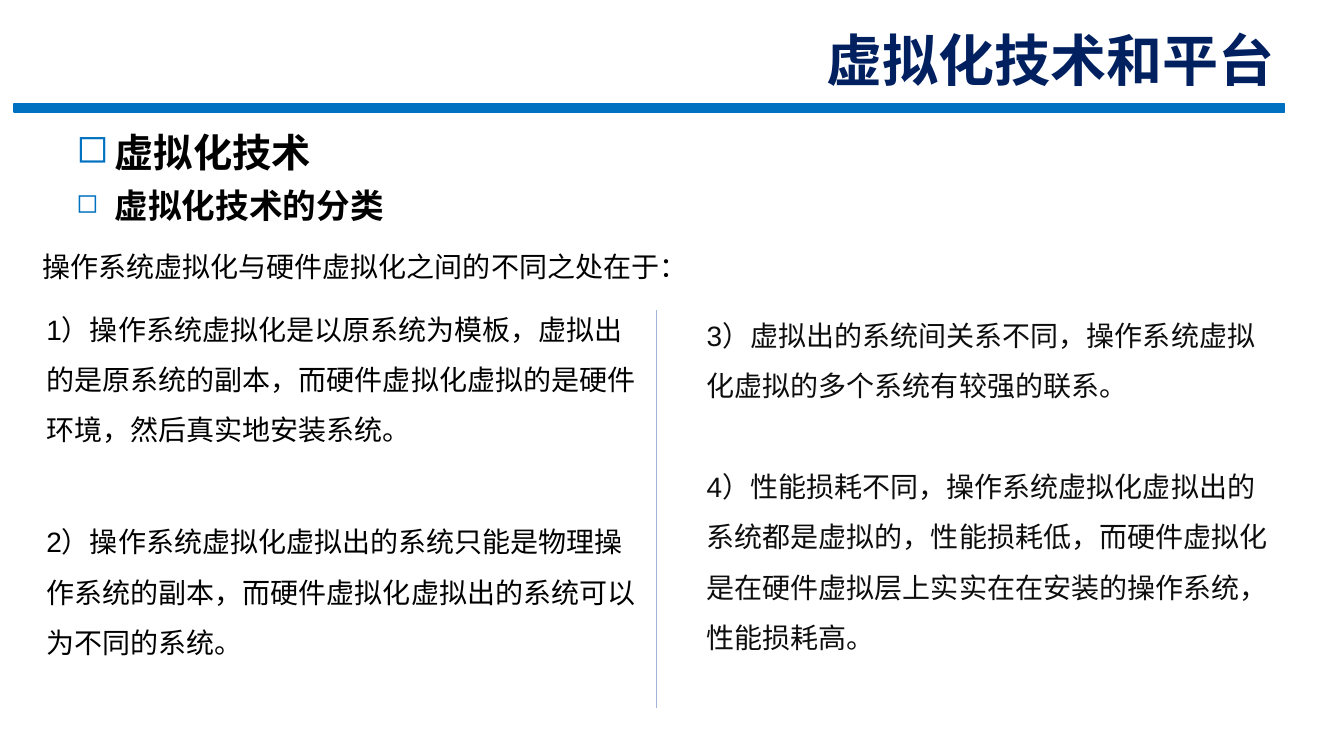
import pptx
import pptx.util
import pptx.dml.color
import pptx.enum.shapes
import pptx.enum.text
import pptx.oxml
import lxml.etree

Inches = pptx.util.Inches
Pt = pptx.util.Pt
RGBColor = pptx.dml.color.RGBColor
Align = pptx.enum.text.PP_ALIGN
Anchor = pptx.enum.text.MSO_ANCHOR
AutoSize = pptx.enum.text.MSO_AUTO_SIZE

BLUE = RGBColor(0x00, 0x70, 0xC0)
NAVY = RGBColor(0x00, 0x20, 0x60)
BLACK = RGBColor(0x00, 0x00, 0x00)
CHARCOAL = RGBColor(0x0D, 0x0D, 0x0D)
PALE_BLUE = RGBColor(0xA4, 0xB3, 0xD8)

LEFT_POINTS = [
    "1）操作系统虚拟化是以原系统为模板，虚拟出的是原系统的副本，而硬件虚拟化虚拟的是硬件环境，然后真实地安装系统。",
    "2）操作系统虚拟化虚拟出的系统只能是物理操作系统的副本，而硬件虚拟化虚拟出的系统可以为不同的系统。",
]
RIGHT_POINTS = [
    "3）虚拟出的系统间关系不同，操作系统虚拟化虚拟的多个系统有较强的联系。",
    "4）性能损耗不同，操作系统虚拟化虚拟出的系统都是虚拟的，性能损耗低，而硬件虚拟化是在硬件虚拟层上实实在在安装的操作系统，性能损耗高。",
]


class SlideBuilder:
    heading_font = "Noto Sans CJK SC"
    body_font = "Arial"
    title_font = "Roboto"
    body_size = 20

    def __init__(self, deck):
        self.page = deck.slides.add_slide(deck.slide_layouts[5])

    def set_font(self, para, name, size, color, bold=False):
        para.font.name = name
        para.font.size = Pt(size)
        para.font.color.rgb = color
        para.font.bold = bold

    def title(self, text, left, top, width, height):
        box = self.page.shapes.title
        box.left, box.top = Inches(left), Inches(top)
        box.width, box.height = Inches(width), Inches(height)
        frame = box.text_frame
        frame.text = text
        frame.auto_size = AutoSize.NONE
        frame.vertical_anchor = Anchor.BOTTOM
        frame.margin_top = frame.margin_bottom = 0
        para = frame.paragraphs[0]
        para.alignment = Align.RIGHT
        self.set_font(para, self.title_font, 40, NAVY, True)

    def bar(self, left, top, width, height):
        shape = self.page.shapes.add_shape(
            pptx.enum.shapes.MSO_SHAPE.RECTANGLE,
            Inches(left), Inches(top), Inches(width), Inches(height))
        shape.shadow.inherit = False
        shape.fill.solid()
        shape.fill.fore_color.rgb = BLUE
        shape.line.color.rgb = BLUE
        shape.line.width = Pt(1)

    def text_frame(self, left, top, width, height, wrap=True):
        box = self.page.shapes.add_textbox(
            Inches(left), Inches(top), Inches(width), Inches(height))
        box.text_frame.word_wrap = wrap
        return box.text_frame

    def bullet_heading(self, text, left, top, width, height, size, bullet_percent):
        frame = self.text_frame(left, top, width, height, wrap=False)
        para = frame.paragraphs[0]
        para.text = text
        properties = para._p.get_or_add_pPr()
        properties.set("marL", str(Inches(0.38)))
        properties.set("indent", str(-Inches(0.38)))
        namespace = pptx.oxml.ns.qn
        color = lxml.etree.SubElement(properties, namespace("a:buClr"))
        lxml.etree.SubElement(color, namespace("a:srgbClr"), val=str(BLUE))
        lxml.etree.SubElement(
            properties, namespace("a:buSzPct"), val=str(bullet_percent * 1000))
        lxml.etree.SubElement(properties, namespace("a:buChar"), char="◻")
        self.set_font(para, self.heading_font, size, BLACK, True)

    def body(self, points, left, top, width, height, color=BLACK, gap=0, margins=(0.1, 0.05)):
        frame = self.text_frame(left, top, width, height)
        frame.margin_left = frame.margin_right = Inches(margins[0])
        frame.margin_top = frame.margin_bottom = Inches(margins[1])
        for index, text in enumerate(points):
            para = frame.add_paragraph() if index else frame.paragraphs[0]
            para.text = text
            para.line_spacing = 1.5
            if index:
                para.space_before = Pt(gap)
            self.set_font(para, self.body_font, self.body_size, color)

    def divider(self, x, top, bottom):
        line = self.page.shapes.add_connector(
            pptx.enum.shapes.MSO_CONNECTOR.STRAIGHT,
            Inches(x), Inches(top), Inches(x), Inches(bottom))
        line.line.color.rgb = PALE_BLUE
        line.line.width = Pt(1)
        lxml.etree.SubElement(
            line._element.spPr, pptx.oxml.ns.qn("a:effectLst"))


def main():
    deck = pptx.Presentation()
    deck.slide_width, deck.slide_height = Inches(13.33), Inches(7.5)
    slide = SlideBuilder(deck)
    slide.bar(0.14, 1.03, 12.6, 0.08)
    slide.title("虚拟化技术和平台", 6.41, 0.34, 6.33, 0.58)
    slide.bullet_heading("虚拟化技术", 0.66, 1.22, 2.55, 0.57, 28, 100)
    slide.bullet_heading("虚拟化技术的分类", 0.66, 1.79, 3.29, 0.5, 24, 80)
    slide.body(["操作系统虚拟化与硬件虚拟化之间的不同之处在于："], 0.32, 2.26, 8.08, 0.55)
    slide.body(LEFT_POINTS, 0.33, 2.86, 6.11, 4.5, gap=44, margins=(0.13, 0.07))
    slide.divider(6.51, 3.08, 7.02)
    slide.body(RIGHT_POINTS, 6.91, 2.94, 5.83, 3.64, CHARCOAL, gap=36)
    deck.save("out.pptx")


if __name__ == "__main__":
    main()
